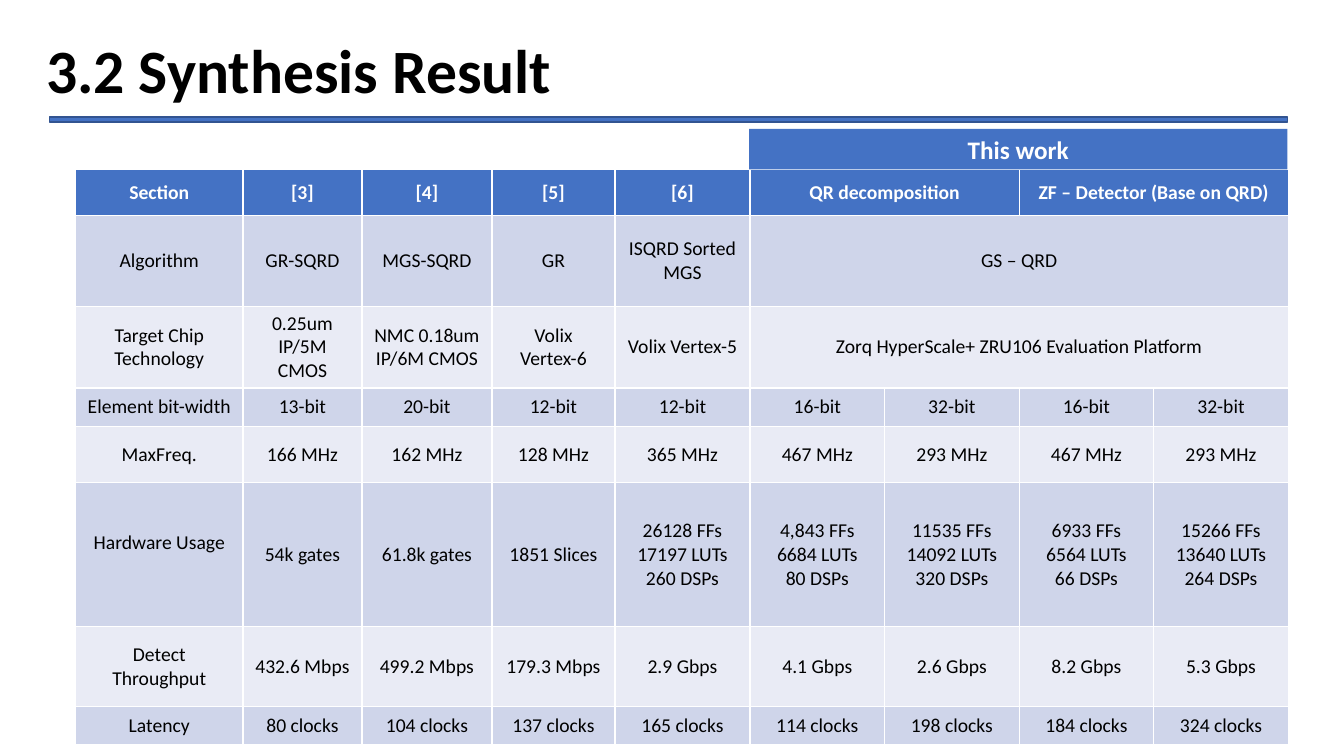
from pptx import Presentation
from pptx.dml.color import RGBColor as RGB
from pptx.enum.shapes import MSO_SHAPE as Shape
from pptx.enum.text import MSO_ANCHOR as Anchor, PP_ALIGN as Align
from pptx.util import Inches, Pt

COLORS = {"blue": "4472C4", "edge": "325491", "dark": "CFD5EA",
          "pale": "E9EBF5", "white": "FFFFFF", "black": "000000"}
WIDTHS = [1.66, 1.18, 1.29, 1.22, 1.34] + [1.335] * 4
HEIGHTS = [0.46, 0.9, 0.81, 0.38, 0.56, 1.43, 0.79, 0.38]
HEAD = {"size": Pt(14), "bold": True}
BODY = {"size": Pt(14), "bold": False}
ROWS = [
    ["Section", "[3]", "[4]", "[5]", "[6]", "QR decomposition", None,
     "ZF – Detector (Base on QRD)", None],
    ["Algorithm", "GR-SQRD", "MGS-SQRD", "GR", "ISQRD Sorted MGS",
     "GS – QRD", None, None, None],
    ["Target Chip Technology", "0.25um IP/5M CMOS", "NMC 0.18um IP/6M CMOS",
     "Volix Vertex-6", "Volix Vertex-5",
     "Zorq HyperScale+ ZRU106 Evaluation Platform", None, None, None],
    ["Element bit-width", "13-bit", "20-bit", "12-bit", "12-bit",
     "16-bit", "32-bit", "16-bit", "32-bit"],
    ["MaxFreq.", "166 MHz", "162 MHz", "128 MHz", "365 MHz",
     "467 MHz", "293 MHz", "467 MHz", "293 MHz"],
    ["Hardware Usage", "54k gates", "61.8k gates", "1851 Slices",
     "26128 FFs\n17197 LUTs 260 DSPs", "4,843 FFs\n6684 LUTs\n80 DSPs",
     "11535 FFs\n14092 LUTs\n320 DSPs", "6933 FFs\n6564 LUTs\n66 DSPs",
     "15266 FFs\n13640 LUTs\n264 DSPs"],
    ["Detect Throughput", "432.6 Mbps", "499.2 Mbps", "179.3 Mbps", "2.9 Gbps",
     "4.1 Gbps", "2.6 Gbps", "8.2 Gbps", "5.3 Gbps"],
    ["Latency", "80 clocks", "104 clocks", "137 clocks", "165 clocks",
     "114 clocks", "198 clocks", "184 clocks", "324 clocks"],
]


def paint(fill, color):
    fill.solid()
    fill.fore_color.rgb = RGB.from_string(COLORS[color])


def write(frame, text, color, look, align=Align.CENTER):
    frame.word_wrap = True
    frame.text = text
    for para in frame.paragraphs:
        para.alignment = align
        for run in para.runs:
            run.font.name = "Calibri"
            run.font.color.rgb = RGB.from_string(COLORS[color])
            for key, value in look.items():
                setattr(run.font, key, value)


def add_bar(slide, box, edge=None):
    bar = slide.shapes.add_shape(Shape.RECTANGLE, *map(Inches, box))
    bar.shadow.inherit = False
    paint(bar.fill, "blue")
    if edge:
        paint(bar.line.fill, edge)
        bar.line.width = Pt(1)
    else:
        bar.line.fill.background()
    return bar


def add_title(slide, box):
    frame = slide.shapes.add_textbox(*map(Inches, box)).text_frame
    write(frame, "3.2 Synthesis Result", "black",
          {"size": Pt(44), "bold": True}, Align.LEFT)
    frame.vertical_anchor = Anchor.MIDDLE
    frame.paragraphs[0].line_spacing = 0.9


def add_banner(slide, box):
    frame = add_bar(slide, box).text_frame
    write(frame, "This work", "white", {"size": Pt(18), "bold": True})
    frame.vertical_anchor = Anchor.TOP


def add_results(slide, box):
    table = slide.shapes.add_table(
        len(ROWS), len(WIDTHS), *map(Inches, box)).table
    for column, width in zip(table.columns, WIDTHS):
        column.width = Inches(width)
    for row, height in zip(table.rows, HEIGHTS):
        row.height = Inches(height)
    for r, texts in enumerate(ROWS):
        ink, look = ("black", BODY) if r else ("white", HEAD)
        tone = ("dark" if r % 2 else "pale") if r else "blue"
        for c, text in enumerate(texts):
            cell = table.cell(r, c)
            paint(cell.fill, tone)
            cell.vertical_anchor = Anchor.MIDDLE
            if text is None:
                continue
            write(cell.text_frame, text, ink, look)
            end = c
            while end + 1 < len(texts) and texts[end + 1] is None:
                end += 1
            if end > c:
                cell.merge(table.cell(r, end))
            if text == "Hardware Usage":
                cell.margin_bottom = Inches(0.29)


def main():
    deck = Presentation()
    deck.slide_width, deck.slide_height = Inches(13.33), Inches(7.5)
    slide = deck.slides.add_slide(deck.slide_layouts[6])
    add_title(slide, (0.36, 0, 11.5, 1.45))
    add_bar(slide, (0.49, 1.16, 12.28, 0.05), "edge")
    add_results(slide, (0.75, 1.68, sum(WIDTHS), sum(HEIGHTS)))
    add_banner(slide, (7.43, 1.28, 5.34, 0.4))
    deck.save("out.pptx")


if __name__ == "__main__":
    main()
